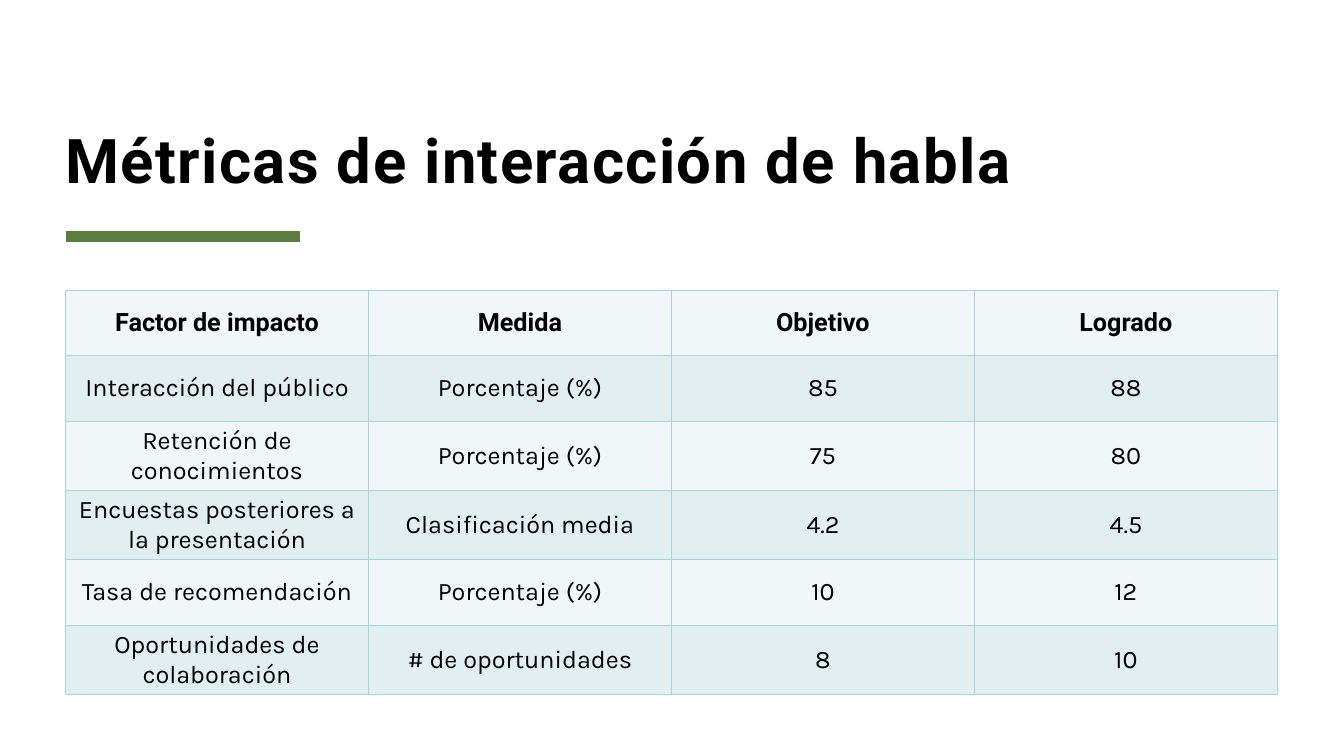
from lxml.etree import SubElement
from pptx import Presentation
from pptx.dml.color import RGBColor
from pptx.enum.shapes import MSO_CONNECTOR
from pptx.enum.text import MSO_ANCHOR, PP_ALIGN
from pptx.oxml.ns import qn
from pptx.util import Emu, Pt

EMU_PER_PX = 9144  # 100 px to the inch
LEFT, WIDTH = 65, 1202
BLACK, GREEN, BORDER = "000000", "5D7D40", "A9D4DB"
ROW_FILLS = ("F1F7F8", "E2EFF1")

TITLE = "Métricas de interacción de habla"
METRICS = [
    ("Factor de impacto", "Medida", "Objetivo", "Logrado"),
    ("Interacción del público", "Porcentaje (%)", "85", "88"),
    ("Retención de conocimientos", "Porcentaje (%)", "75", "80"),
    ("Encuestas posteriores a la presentación", "Clasificación media", "4.2", "4.5"),
    ("Tasa de recomendación", "Porcentaje (%)", "10", "12"),
    ("Oportunidades de colaboración", "# de oportunidades", "8", "10"),
]

TITLE_FONT = {"name": "Roboto", "size": Pt(44), "bold": True}
HEADER_FONT = {"name": "Roboto", "size": Pt(18), "bold": True}
BODY_FONT = {"name": "Karla", "size": Pt(18), "bold": False}


def px(length):
    return Emu(length * EMU_PER_PX)


def color(hex_code):
    return RGBColor.from_string(hex_code)


def set_attributes(target, values):
    for name, value in values.items():
        setattr(target, name, value)


def write_text(text_frame, text, font_format, paragraph_format):
    """Fill a one-paragraph text frame with one formatted run."""
    paragraph = text_frame.paragraphs[0]
    set_attributes(paragraph, paragraph_format)
    run = paragraph.add_run()
    run.text = text
    set_attributes(run.font, font_format)
    run.font.color.rgb = color(BLACK)
    return run


def add_title(slide):
    title = slide.shapes.title
    set_attributes(title, {"left": px(LEFT), "top": px(64),
                           "width": px(1200), "height": px(130)})
    set_attributes(title.text_frame, {
        "margin_left": 0, "margin_top": 0, "margin_right": 0, "margin_bottom": 0,
        "word_wrap": True, "vertical_anchor": MSO_ANCHOR.BOTTOM})
    run = write_text(title.text_frame, TITLE, TITLE_FONT,
                     {"alignment": PP_ALIGN.LEFT, "line_spacing": 0.8})
    run.font._element.set("spc", "100")


def add_accent_line(slide):
    line = slide.shapes.add_connector(
        MSO_CONNECTOR.STRAIGHT, px(LEFT), px(235), px(298), px(235))
    line.line.color.rgb = color(GREEN)
    line.line.width = Pt(8)
    SubElement(line._element.spPr, qn("a:effectLst"))


def set_borders(cell):
    properties = cell._tc.get_or_add_tcPr()
    for position, side in enumerate(("a:lnL", "a:lnR", "a:lnT", "a:lnB")):
        border = SubElement(properties, qn(side), w=str(Pt(1)))
        fill = SubElement(border, qn("a:solidFill"))
        SubElement(fill, qn("a:srgbClr"), val=BORDER)
        properties.insert(position, border)  # borders come before the fill


def add_metrics_table(slide):
    table = slide.shapes.add_table(
        len(METRICS), len(METRICS[0]),
        px(LEFT), px(288), px(WIDTH), px(65 * len(METRICS))).table
    for row_index, values in enumerate(METRICS):
        font_format = BODY_FONT if row_index else HEADER_FONT
        for column_index, value in enumerate(values):
            cell = table.cell(row_index, column_index)
            cell.vertical_anchor = MSO_ANCHOR.MIDDLE
            cell.fill.solid()
            cell.fill.fore_color.rgb = color(ROW_FILLS[row_index % 2])
            set_borders(cell)
            write_text(cell.text_frame, value, font_format,
                       {"alignment": PP_ALIGN.CENTER})


def main():
    presentation = Presentation()
    set_attributes(presentation, {"slide_width": px(1333), "slide_height": px(750)})
    slide = presentation.slides.add_slide(
        presentation.slide_layouts.get_by_name("Title Only"))
    add_accent_line(slide)
    add_title(slide)
    add_metrics_table(slide)
    presentation.save("out.pptx")


if __name__ == "__main__":
    main()
